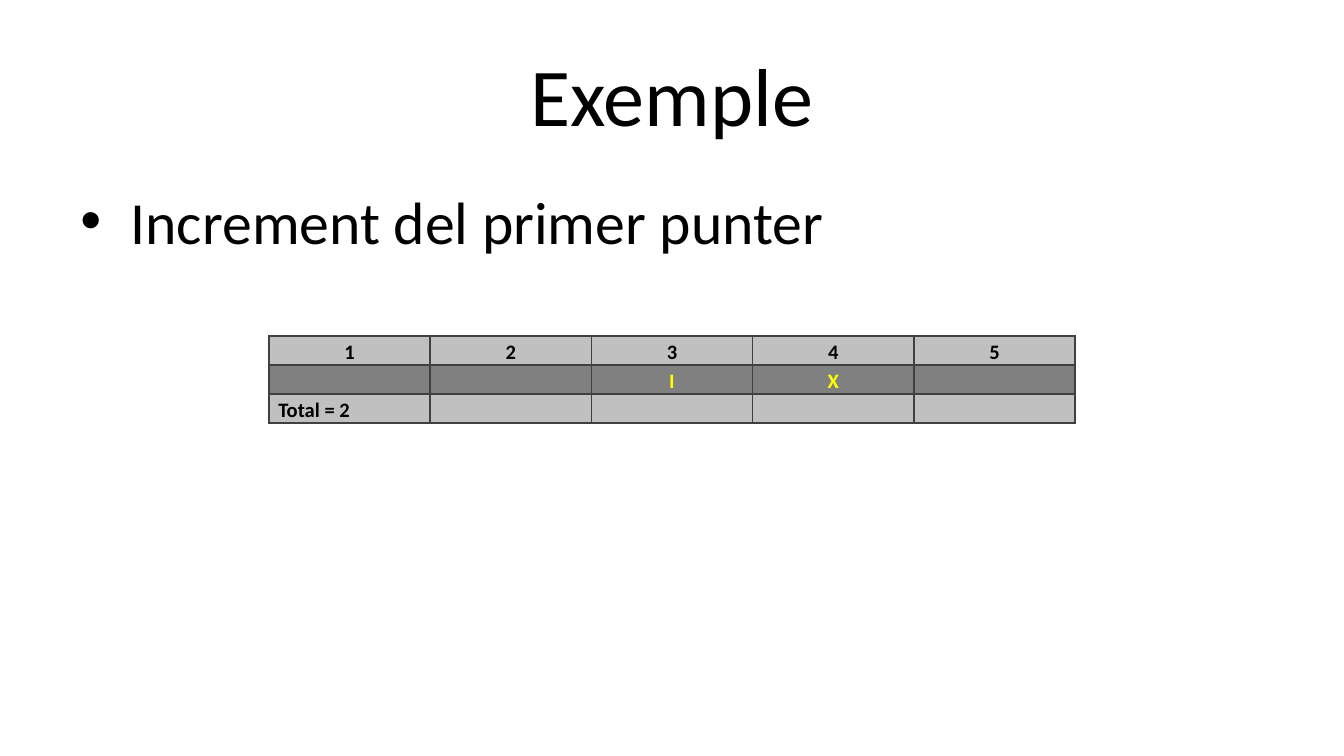
from dataclasses import dataclass

from lxml.etree import SubElement
from pptx import Presentation
from pptx.dml.color import RGBColor
from pptx.enum.text import MSO_ANCHOR, PP_ALIGN
from pptx.oxml.ns import qn
from pptx.util import Cm, Pt

FONT = "Calibri"
BLACK, YELLOW = "000000", "FFFF00"
LIGHT, DARK, EDGE = "C0C0C0", "808080", "404040"


@dataclass
class Row:
    texts: list[str]
    fill: str
    ink: str = BLACK
    align: PP_ALIGN = PP_ALIGN.CENTER


ROWS = [
    Row(["1", "2", "3", "4", "5"], LIGHT),
    Row(["", "", "I", "X", ""], DARK, YELLOW),
    Row(["Total = 2", "", "", "", ""], LIGHT, align=PP_ALIGN.LEFT),
]


def color(code: str) -> RGBColor:
    return RGBColor.from_string(code)


def write(para, text: str, size: int, ink: str = BLACK, bold: bool = False) -> None:
    run = para.add_run()
    run.text = text
    font = run.font
    font.name, font.size, font.bold = FONT, Pt(size), bold
    font.color.rgb = color(ink)


def border(cell) -> None:
    props = cell._tc.get_or_add_tcPr()
    for at, side in enumerate(("lnL", "lnR", "lnT", "lnB")):
        line = props.makeelement(qn(f"a:{side}"), {"w": str(Pt(1))})
        fill = SubElement(line, qn("a:solidFill"))
        SubElement(fill, qn("a:srgbClr"), val=EDGE)
        props.insert(at, line)


def draw_cell(cell, text: str, row: Row) -> None:
    cell.fill.solid()
    cell.fill.fore_color.rgb = color(row.fill)
    cell.margin_left = cell.margin_right = Cm(0.18)
    cell.margin_top = cell.margin_bottom = 0
    para = cell.text_frame.paragraphs[0]
    para.alignment = row.align
    para.line_spacing = 1.15
    if text:
        write(para, text, 11, row.ink, True)
    else:
        # Keep empty cells as low as the filled ones
        SubElement(para._p, qn("a:endParaRPr"), sz="1100")
    border(cell)


def draw_table(slide, rows: list[Row]) -> None:
    count = len(rows[0].texts)
    high = Cm(0.55)
    table = slide.shapes.add_table(
        len(rows), count, Cm(5.08), Cm(6.35), Cm(15.24), high * len(rows)
    ).table
    for line, row in zip(table.rows, rows):
        line.height = high
        for cell, text in zip(line.cells, row.texts):
            draw_cell(cell, text, row)


def draw_title(slide, text: str) -> None:
    title = slide.shapes.title
    title.left, title.top = Cm(1.27), Cm(0.58)
    title.width, title.height = Cm(22.86), Cm(2.39)
    frame = title.text_frame
    frame.vertical_anchor = MSO_ANCHOR.MIDDLE
    para = frame.paragraphs[0]
    para.alignment = PP_ALIGN.CENTER
    write(para, text, 44)


def draw_bullet(slide, text: str) -> None:
    box = slide.shapes.add_textbox(Cm(1.27), Cm(3.36), Cm(22.86), Cm(9.4))
    frame = box.text_frame
    frame.word_wrap = True
    para = frame.paragraphs[0]
    props = para._p.get_or_add_pPr()
    dent = Cm(0.95)
    props.set("marL", str(dent))
    props.set("indent", str(-dent))
    SubElement(props, qn("a:buFont"), typeface="Arial")
    SubElement(props, qn("a:buChar"), char="•")
    write(para, text, 32)


def main() -> None:
    deck = Presentation()
    deck.slide_width, deck.slide_height = Cm(25.4), Cm(14.29)
    slide = deck.slides.add_slide(deck.slide_layouts[5])
    # Heading and point
    draw_title(slide, "Exemple")
    draw_bullet(slide, "Increment del primer punter")
    # Pointer table
    draw_table(slide, ROWS)
    deck.save("out.pptx")


if __name__ == "__main__":
    main()
